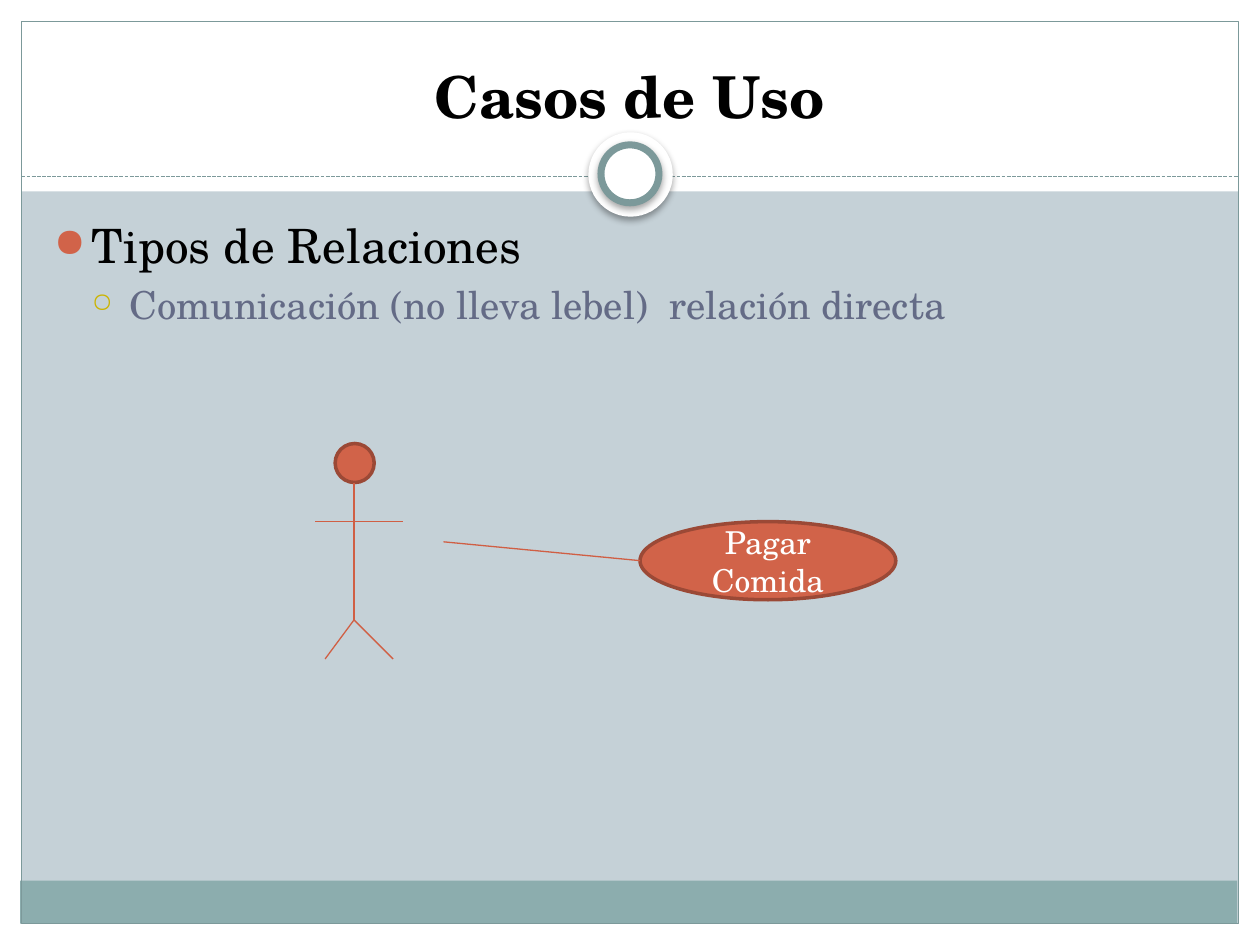
from dataclasses import dataclass
from typing import Optional

import pptx
import pptx.dml.color
import pptx.enum.dml
import pptx.enum.shapes
import pptx.enum.text
import pptx.oxml.ns
import pptx.util
from lxml import etree

Inches = pptx.util.Inches
Pt = pptx.util.Pt
RGBColor = pptx.dml.color.RGBColor
Shape = pptx.enum.shapes.MSO_SHAPE
Anchor = pptx.enum.text.MSO_ANCHOR
Align = pptx.enum.text.PP_ALIGN

FONT = "TeX Gyre Schola"
WHITE = RGBColor(0xFF, 0xFF, 0xFF)
BLACK = RGBColor(0x00, 0x00, 0x00)
BACKGROUND = RGBColor(0xC5, 0xD1, 0xD7)
FOOTER = RGBColor(0x8C, 0xAD, 0xAE)
FRAME = RGBColor(0x7C, 0x99, 0x9A)
ORANGE = RGBColor(0xD1, 0x63, 0x49)
DARK_ORANGE = RGBColor(0x9B, 0x49, 0x36)
LINE_ORANGE = RGBColor(0xD0, 0x5F, 0x44)
YELLOW = RGBColor(0xCC, 0xB4, 0x00)
SLATE = RGBColor(0x64, 0x6B, 0x86)

WIDTH, HEIGHT, MARGIN = 10, 7.5, 0.17


@dataclass
class Panel:
    left: float
    top: float
    width: float
    height: float
    fill: Optional[RGBColor] = None
    line: Optional[RGBColor] = None
    weight: float = 0.75
    kind: int = Shape.RECTANGLE
    shadow: bool = False


@dataclass
class Stroke:
    start: tuple
    end: tuple
    color: RGBColor = LINE_ORANGE
    dash: Optional[int] = None


@dataclass
class Bullet:
    text: str
    level: int
    size: float
    color: RGBColor
    before: float
    mark: str
    mark_color: RGBColor
    mark_percent: int


PANELS = [
    Panel(0, HEIGHT - MARGIN, WIDTH, MARGIN, WHITE),
    Panel(0, 0, WIDTH, 1.52, WHITE),
    Panel(0, 0, MARGIN, HEIGHT, WHITE),
    Panel(WIDTH - MARGIN, 0, MARGIN, HEIGHT, WHITE),
    Panel(0.16, 6.99, 9.66, 0.34, FOOTER),
    Panel(MARGIN, MARGIN, WIDTH - 2 * MARGIN, HEIGHT - 2 * MARGIN, line=FRAME),
]
DIVIDER = Stroke((MARGIN, 1.4), (WIDTH - MARGIN, 1.4), FRAME,
                 pptx.enum.dml.MSO_LINE.SQUARE_DOT)
RINGS = [
    Panel(4.67, 1.05, 0.67, 0.67, WHITE, kind=Shape.OVAL, shadow=True),
    Panel(4.77, 1.15, 0.46, 0.46, WHITE, FRAME, 4, Shape.OVAL, True),
]
BULLETS = [
    Bullet("Tipos de Relaciones", 0, 27, BLACK, 5.4, "●", ORANGE, 85),
    Bullet("Comunicación (no lleva lebel)  relación directa", 1, 22, SLATE,
           4.4, "○", YELLOW, 70),
]
NECK, HIP = (2.81, 3.83), (2.81, 4.92)
HEAD = Panel(2.66, 3.52, 0.31, 0.31, ORANGE, DARK_ORANGE, 2, Shape.OVAL)
BODY = [
    Stroke(NECK, HIP),
    Stroke((2.5, 4.14), (3.2, 4.14)),
    Stroke(HIP, (2.58, 5.23)),
    Stroke(HIP, (3.12, 5.23)),
]
USE_CASE = Panel(5.08, 4.14, 2.03, 0.62, ORANGE, DARK_ORANGE, 2, Shape.OVAL)
RELATION = Stroke((3.52, 4.3), (USE_CASE.left, USE_CASE.top + USE_CASE.height / 2))


def apply(target, values: dict) -> None:
    for name, value in values.items():
        setattr(target, name, value)


def add_element(parent, tag: str, **attributes: str):
    element = etree.SubElement(parent, pptx.oxml.ns.qn(tag))
    for name, value in attributes.items():
        element.set(name, value)
    return element


def add_shadow(shape) -> None:
    effects = shape._element.spPr.find(pptx.oxml.ns.qn("a:effectLst"))
    outer = add_element(effects, "a:outerShdw", blurRad=str(Pt(4)), dist=str(Pt(2)),
                        dir="5400000", algn="ctr", rotWithShape="0")
    color = add_element(outer, "a:srgbClr", val=str(BLACK))
    add_element(color, "a:alpha", val="35000")


def draw_panel(shapes, panel: Panel):
    shape = shapes.add_shape(panel.kind, Inches(panel.left), Inches(panel.top),
                             Inches(panel.width), Inches(panel.height))
    shape.shadow.inherit = False
    if panel.fill is None:
        shape.fill.background()
    else:
        shape.fill.solid()
        shape.fill.fore_color.rgb = panel.fill
    if panel.line is None:
        shape.line.fill.background()
    else:
        shape.line.color.rgb = panel.line
        shape.line.width = Pt(panel.weight)
    if panel.shadow:
        add_shadow(shape)
    return shape


def draw_stroke(shapes, stroke: Stroke) -> None:
    points = [Inches(value) for value in stroke.start + stroke.end]
    line = shapes.add_connector(pptx.enum.shapes.MSO_CONNECTOR.STRAIGHT, *points)
    line.line.color.rgb = stroke.color
    line.line.width = Pt(0.75)
    if stroke.dash is not None:
        line.line.dash_style = stroke.dash
    add_element(line._element.spPr, "a:effectLst")


def write(para, text: str, size: float, color: RGBColor, bold: bool = False) -> None:
    span = para.add_run()
    span.text = text
    apply(span.font, {"name": FONT, "size": Pt(size), "bold": bold})
    span.font.color.rgb = color


def write_centred(shape, anchor, text: str, size: float, color: RGBColor,
                  bold: bool = False) -> None:
    apply(shape.text_frame, {"word_wrap": True, "vertical_anchor": anchor})
    para = shape.text_frame.paragraphs[0]
    para.alignment = Align.CENTER
    write(para, text, size, color, bold)


def write_bullet(para, bullet: Bullet) -> None:
    apply(para, {"level": bullet.level, "space_before": Pt(bullet.before)})
    properties = para._p.get_or_add_pPr()
    properties.set("marL", str(Inches(0.3 * (bullet.level + 1))))
    properties.set("indent", str(Inches(-0.3)))
    color = add_element(properties, "a:buClr")
    add_element(color, "a:srgbClr", val=str(bullet.mark_color))
    add_element(properties, "a:buSzPct", val=str(bullet.mark_percent * 1000))
    add_element(properties, "a:buChar", char=bullet.mark)
    write(para, bullet.text, bullet.size, bullet.color)


def add_box(shapes, left: float, top: float, width: float, height: float):
    box = shapes.add_textbox(Inches(left), Inches(top), Inches(width), Inches(height))
    box.text_frame.word_wrap = True
    return box


def main() -> None:
    deck = pptx.Presentation()
    apply(deck, {"slide_width": Inches(WIDTH), "slide_height": Inches(HEIGHT)})
    page = deck.slides.add_slide(deck.slide_layouts[6])
    page.background.fill.solid()
    page.background.fill.fore_color.rgb = BACKGROUND

    for panel in PANELS:
        draw_panel(page.shapes, panel)
    draw_stroke(page.shapes, DIVIDER)
    for ring in RINGS:
        draw_panel(page.shapes, ring)

    title = add_box(page.shapes, 0.33, 0.25, 9.33, 0.83)
    write_centred(title, Anchor.BOTTOM, "Casos de Uso", 33, BLACK, True)
    content = add_box(page.shapes, 0.33, 1.67, 9.3, 5).text_frame
    for index, bullet in enumerate(BULLETS):
        write_bullet(content.add_paragraph() if index else content.paragraphs[0], bullet)

    actor = page.shapes.add_group_shape()
    draw_panel(actor.shapes, HEAD)
    for stroke in BODY:
        draw_stroke(actor.shapes, stroke)
    use_case = draw_panel(page.shapes, USE_CASE)
    write_centred(use_case, Anchor.MIDDLE, "Pagar Comida", 18, WHITE)
    draw_stroke(page.shapes, RELATION)
    deck.save("out.pptx")


if __name__ == "__main__":
    main()
